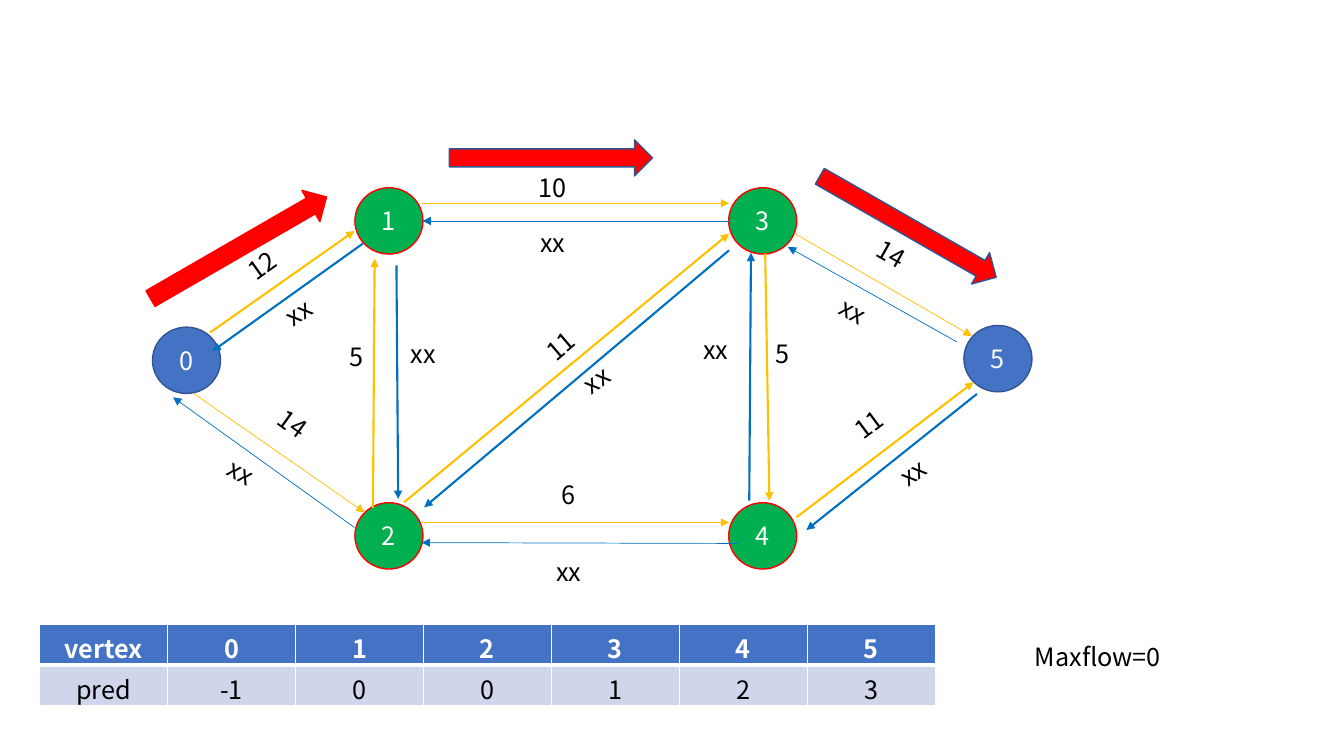
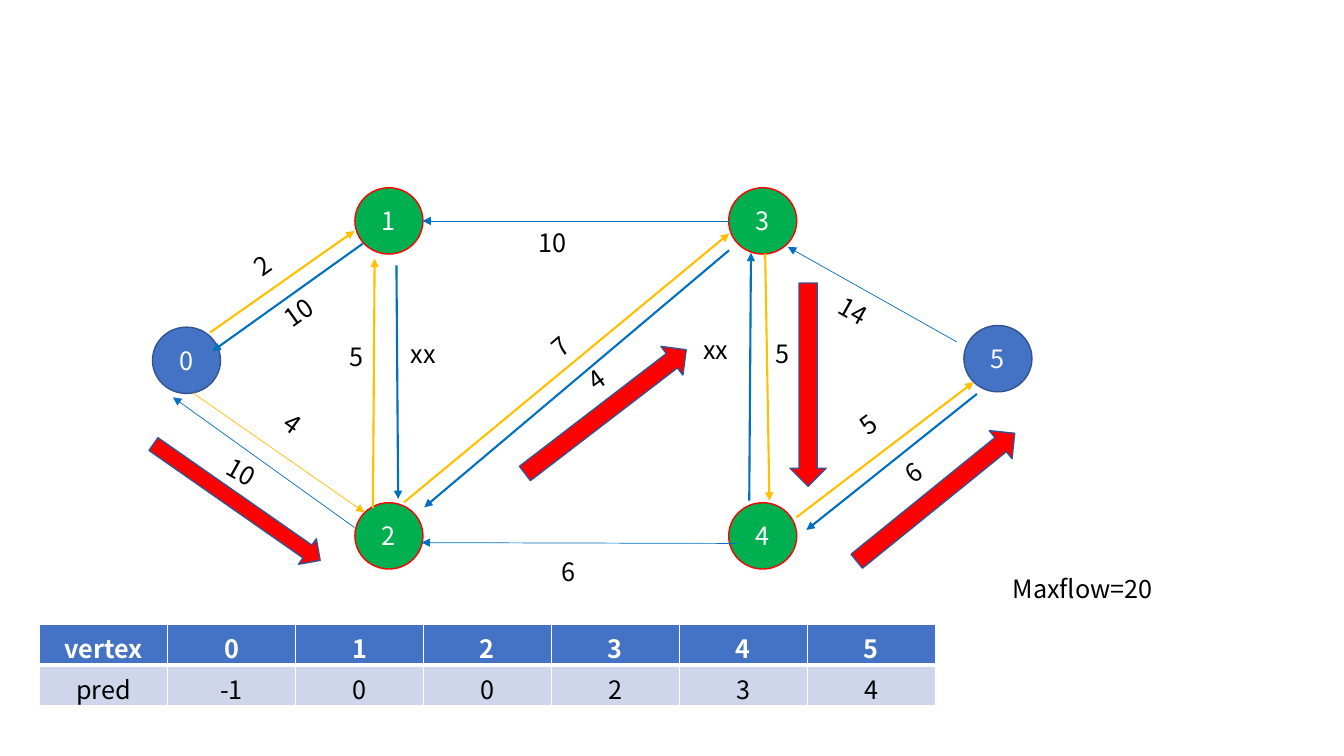
from dataclasses import dataclass
from typing import Any

from lxml.etree import SubElement
from pptx import Presentation
from pptx.dml.color import RGBColor
from pptx.enum.shapes import MSO_CONNECTOR as Link, MSO_SHAPE as Preset
from pptx.enum.text import MSO_ANCHOR as Anchor, MSO_AUTO_SIZE as AutoSize, PP_ALIGN as Align
from pptx.oxml import parse_xml
from pptx.oxml.ns import nsdecls, qn
from pptx.util import Pt

WHITE = RGBColor(0xFF, 0xFF, 0xFF)
BLACK = RGBColor(0x00, 0x00, 0x00)
BLUE = RGBColor(0x44, 0x72, 0xC4)
NAVY = RGBColor(0x32, 0x54, 0x91)
GREEN = RGBColor(0x00, 0xB0, 0x50)
RED = RGBColor(0xFF, 0x00, 0x00)
AMBER = RGBColor(0xFF, 0xC0, 0x00)
AZURE = RGBColor(0x00, 0x70, 0xC0)
PALE = RGBColor(0xCF, 0xD5, 0xEA)

COLUMNS, ROWS = 160, 90
CELL = Pt(6)
FONT = {"name": "Noto Sans CJK SC", "size": Pt(18), "bold": False}
HEADER_FONT = FONT | {"bold": True}
LABEL_FRAME = {"word_wrap": True, "auto_size": AutoSize.SHAPE_TO_FIT_TEXT}

VERTEX_SIZE = (8.1, 7.9)
LABEL_HEIGHT = 4.8
WIDE_LABEL, NARROW_LABEL, FLOW_LABEL = 17.3, 10.3, 31.9
TABLE_LEFT, TABLE_TOP = 4.7, 74.3
TABLE_COLUMN, TABLE_ROW = 15.24, 4.87

Point = tuple[float, float]


@dataclass(frozen=True)
class Vertex:
    number: int
    center: Point
    fill: RGBColor = GREEN
    outline: RGBColor = RED


@dataclass(frozen=True)
class Edge:
    source: int
    target: int
    start: Point
    end: Point
    label: Point
    angle: float = 0
    weight: float = 1.5
    color: RGBColor = AMBER


@dataclass(frozen=True)
class PathArrow:
    center: Point
    angle: float = 0
    outline: RGBColor = NAVY
    height: float = 4.3


@dataclass(frozen=True)
class Step:
    residuals: dict[tuple[int, int], str]
    path_arrows: list[PathArrow]
    predecessors: list[int]
    max_flow: int
    flow_center: Point


VERTICES = [
    Vertex(0, (22.2, 42.9), BLUE, NAVY),
    Vertex(5, (118.8, 42.7), BLUE, NAVY),
    Vertex(1, (46.3, 26.3)),
    Vertex(2, (46.3, 63.8)),
    Vertex(3, (90.8, 26.3)),
    Vertex(4, (90.8, 63.8)),
]

EDGES = [
    Edge(0, 1, (25, 39.6), (42.2, 27.5), (31.2, 31.6), -35.5),
    Edge(1, 3, (50.3, 24.2), (86.8, 24.2), (65.8, 22.3), weight=0.5),
    Edge(2, 4, (50.3, 62.2), (86.8, 62.2), (67.7, 58.9), weight=0.5),
    Edge(4, 5, (94.8, 61.6), (115.9, 45.5), (103.4, 50.5), -36.6),
    Edge(3, 5, (94.6, 27.8), (115.7, 40), (106.1, 30.2), 29.3, 0.5),
    Edge(0, 2, (23, 46.8), (43.4, 61), (34.9, 50.4), 35.8, 0.5),
    Edge(2, 1, (44.4, 60.5), (44.6, 30.8), (42.4, 42.4)),
    Edge(2, 3, (48.1, 59.8), (86.8, 27.8), (66.7, 41.2), -40.4),
    Edge(3, 4, (91.1, 30.2), (91.6, 59.6), (93.1, 42.1)),
    Edge(5, 4, (116.3, 46.9), (96, 63.1), (108.7, 56.2), -35.5, color=AZURE),
    Edge(1, 0, (43.2, 29), (25.3, 41.8), (35.5, 37.2), -35.5, color=AZURE),
    Edge(4, 3, (89.2, 59.6), (89.4, 30.1), (85.2, 41.6), color=AZURE),
    Edge(1, 2, (47.2, 31.6), (47.4, 59.4), (50.4, 42.1), color=AZURE),
    Edge(3, 2, (86.8, 29.8), (50.5, 60.4), (71, 45.2), -35.5, color=AZURE),
    Edge(4, 2, (87.8, 64.7), (50.2, 64.6), (67.7, 68), 0, 0.5, AZURE),
    Edge(3, 1, (86.8, 26.3), (50.3, 26.3), (65.8, 28.9), 0, 0.5, AZURE),
    Edge(5, 3, (113.9, 40.7), (93.8, 29.4), (101.6, 37), 29.3, 0.5, AZURE),
    Edge(2, 0, (42.2, 62.8), (20.6, 47.3), (28.7, 56.2), 29.3, 0.5, AZURE),
]

STEPS = [
    Step(
        {
            (0, 1): "12", (1, 3): "10", (2, 4): "6", (4, 5): "11", (3, 5): "14",
            (0, 2): "14", (2, 1): "5", (2, 3): "11", (3, 4): "5",
        } | {(edge.source, edge.target): "xx" for edge in EDGES if edge.color == AZURE},
        [
            PathArrow((28.4, 29.5), -30, RED),
            PathArrow((65.6, 18.8)),
            PathArrow((108.1, 27), 29.8),
        ],
        [-1, 0, 0, 1, 2, 3], 0, (130.7, 78.2),
    ),
    Step(
        {
            (0, 1): "2", (4, 5): "5", (0, 2): "4", (2, 1): "5", (2, 3): "7",
            (3, 4): "5", (5, 4): "6", (1, 0): "10", (4, 3): "xx", (1, 2): "xx",
            (3, 2): "4", (4, 2): "6", (3, 1): "10", (5, 3): "14", (2, 0): "10",
        },
        [
            PathArrow((96.2, 45.8), 90),
            PathArrow((111.4, 59.2), -39),
            PathArrow((28.2, 59.8), 34.9, height=3.7),
            PathArrow((72.1, 49), -37.5),
        ],
        [-1, 0, 0, 2, 3, 4], 20, (128.9, 70.1),
    ),
]


def grid(*cells: float) -> list[int]:
    return [round(cell * CELL) for cell in cells]


def centered(center: Point, width: float, height: float) -> list[int]:
    return grid(center[0] - width / 2, center[1] - height / 2, width, height)


def write(frame: Any, text: str, color: RGBColor, style: dict[str, Any] = FONT) -> None:
    paragraph = frame.paragraphs[0]
    paragraph.alignment = Align.CENTER
    run = paragraph.add_run()
    run.text = text
    for attribute, value in style.items():
        setattr(run.font, attribute, value)
    run.font.color.rgb = color


def add_figure(slide: Any, preset: Preset, box: list[int], fill: RGBColor, outline: RGBColor) -> Any:
    figure = slide.shapes.add_shape(preset, *box)
    figure.shadow.inherit = False
    figure.fill.solid()
    figure.fill.fore_color.rgb = fill
    figure.line.color.rgb = outline
    figure.line.width = Pt(1)
    return figure


def add_vertex(slide: Any, vertex: Vertex) -> None:
    box = centered(vertex.center, *VERTEX_SIZE)
    circle = add_figure(slide, Preset.OVAL, box, vertex.fill, vertex.outline)
    circle.text_frame.vertical_anchor = Anchor.MIDDLE
    write(circle.text_frame, str(vertex.number), WHITE)


def add_label(slide: Any, text: str, center: Point, width: float, angle: float = 0) -> None:
    label = slide.shapes.add_textbox(*centered(center, width, LABEL_HEIGHT))
    label.rotation = angle
    for attribute, value in LABEL_FRAME.items():
        setattr(label.text_frame, attribute, value)
    write(label.text_frame, text, BLACK)


def add_edge(slide: Any, edge: Edge, residual: str) -> None:
    arrow = slide.shapes.add_connector(Link.STRAIGHT, *grid(*edge.start, *edge.end))
    arrow.line.color.rgb = edge.color
    arrow.line.width = Pt(edge.weight)
    SubElement(arrow.line._get_or_add_ln(), qn("a:tailEnd"), type="triangle")
    SubElement(arrow._element.spPr, qn("a:effectLst"))
    upright = abs(edge.start[0] - edge.end[0]) < 1
    add_label(slide, residual, edge.label, NARROW_LABEL if upright else WIDE_LABEL, edge.angle)


def add_path_arrow(slide: Any, arrow: PathArrow) -> None:
    box = centered(arrow.center, 24.2, arrow.height)
    add_figure(slide, Preset.RIGHT_ARROW, box, RED, arrow.outline).rotation = arrow.angle


def set_borders(cell: Any, widths: dict[str, float]) -> None:
    properties = cell._tc.get_or_add_tcPr()
    for position, (side, width) in enumerate(widths.items()):
        properties.insert(position, parse_xml(
            f'<a:ln{side} {nsdecls("a")} w="{Pt(width)}"><a:solidFill>'
            f'<a:srgbClr val="{WHITE}"/></a:solidFill></a:ln{side}>'
        ))


def add_predecessors(slide: Any, predecessors: list[int]) -> None:
    lines = [["vertex", *range(len(predecessors))], ["pred", *predecessors]]
    looks = [
        (BLUE, WHITE, HEADER_FONT, {"L": 1, "R": 1, "T": 1, "B": 3}),
        (PALE, BLACK, FONT, {"L": 1, "R": 1, "T": 3, "B": 1}),
    ]
    count = len(lines[0])
    box = grid(TABLE_LEFT, TABLE_TOP, TABLE_COLUMN * count, TABLE_ROW * len(lines))
    table = slide.shapes.add_table(len(lines), count, *box).table
    for row, (values, (fill, color, style, borders)) in enumerate(zip(lines, looks)):
        for column, value in enumerate(values):
            cell = table.cell(row, column)
            cell.fill.solid()
            cell.fill.fore_color.rgb = fill
            set_borders(cell, borders)
            write(cell.text_frame, str(value), color, style)


def add_step(deck: Any, step: Step) -> None:
    slide = deck.slides.add_slide(deck.slide_layouts[6])
    for vertex in VERTICES:
        add_vertex(slide, vertex)
    for edge in EDGES:
        residual = step.residuals.get((edge.source, edge.target))
        if residual:
            add_edge(slide, edge, residual)
    add_label(slide, f"Maxflow={step.max_flow}", step.flow_center, FLOW_LABEL)
    add_predecessors(slide, step.predecessors)
    for arrow in step.path_arrows:
        add_path_arrow(slide, arrow)


def main() -> None:
    deck = Presentation()
    deck.slide_width, deck.slide_height = grid(COLUMNS, ROWS)
    for step in STEPS:
        add_step(deck, step)
    deck.save("out.pptx")


if __name__ == "__main__":
    main()
